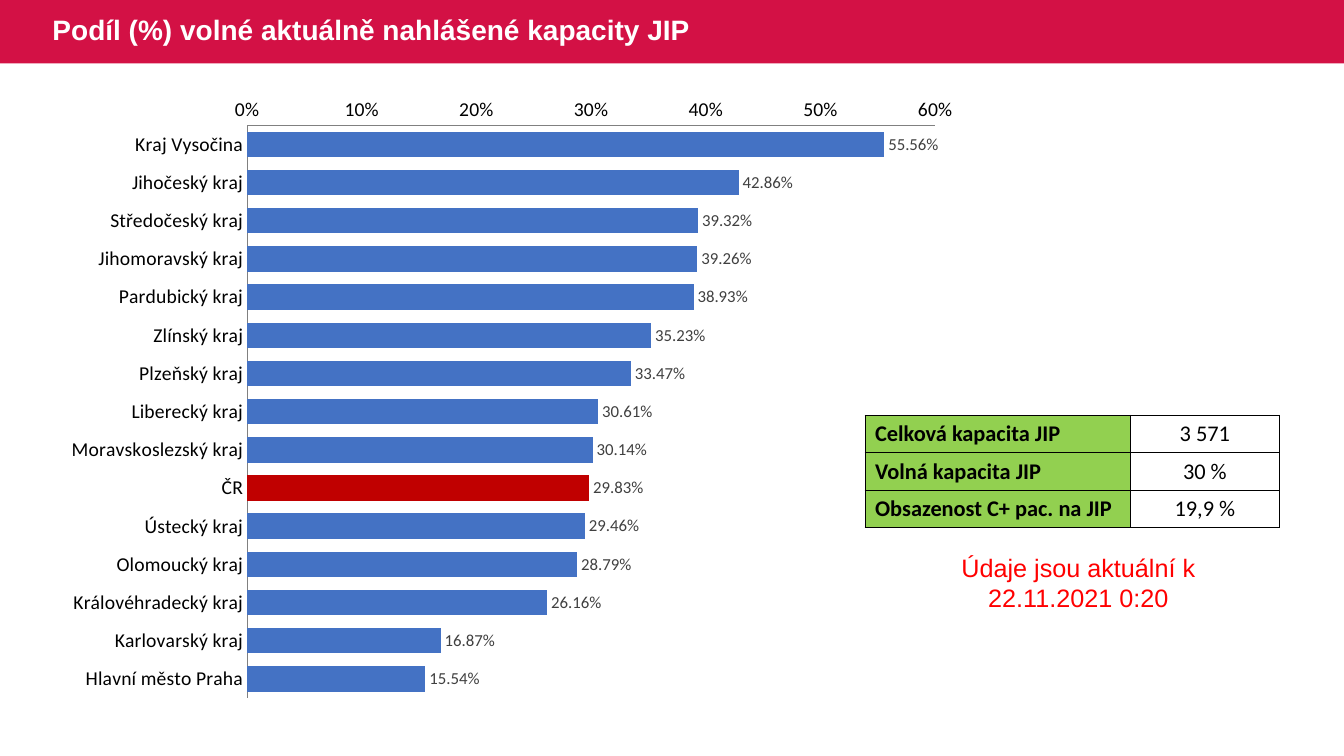
from lxml import etree
from pptx import Presentation
from pptx.chart.data import CategoryChartData
from pptx.dml.color import RGBColor
from pptx.enum.chart import XL_CHART_TYPE as ChartType
from pptx.enum.chart import XL_LABEL_POSITION as LabelPosition
from pptx.enum.chart import XL_TICK_MARK as TickMark
from pptx.enum.shapes import MSO_SHAPE as Preset
from pptx.enum.text import MSO_ANCHOR as Anchor
from pptx.enum.text import MSO_AUTO_SIZE as AutoSize
from pptx.enum.text import PP_ALIGN as Align
from pptx.oxml import parse_xml
from pptx.oxml.ns import nsdecls, qn
from pptx.util import Inches, Pt

CRIMSON = RGBColor(0xD3, 0x11, 0x45)
WHITE = RGBColor(0xFF, 0xFF, 0xFF)
BLACK = RGBColor(0, 0, 0)
BLUE = RGBColor(0x44, 0x72, 0xC4)
DARK_RED = RGBColor(0xC0, 0, 0)
GREEN = RGBColor(0x92, 0xD0, 0x50)
RED = RGBColor(0xFF, 0, 0)
LABEL_GREY = RGBColor(0x40, 0x40, 0x40)
AXIS_GREY = RGBColor(0x80, 0x80, 0x80)

COUNTRY = "ČR"
FREE_SHARE = {
    "Kraj Vysočina": 0.5556,
    "Jihočeský kraj": 0.4286,
    "Středočeský kraj": 0.3932,
    "Jihomoravský kraj": 0.3926,
    "Pardubický kraj": 0.3893,
    "Zlínský kraj": 0.3523,
    "Plzeňský kraj": 0.3347,
    "Liberecký kraj": 0.3061,
    "Moravskoslezský kraj": 0.3014,
    COUNTRY: 0.2983,
    "Ústecký kraj": 0.2946,
    "Olomoucký kraj": 0.2879,
    "Královéhradecký kraj": 0.2616,
    "Karlovarský kraj": 0.1687,
    "Hlavní město Praha": 0.1554,
}
SUMMARY = [
    ("Celková kapacita JIP", "3 571"),
    ("Volná kapacita JIP", "30 %"),
    ("Obsazenost C+ pac. na JIP", "19,9 %"),
]


class CapacitySlide:
    heading_font = "Arial"
    data_font = "Calibri"

    def __init__(self, presentation):
        self.slide = presentation.slides.add_slide(presentation.slide_layouts[5])
        self.shapes = self.slide.shapes

    def style(self, font, name, size, color, bold=False):
        font.name, font.size, font.bold = name, Pt(size), bold
        font.color.rgb = color

    def add_text(self, frame, text, name, size, color, bold=False, align=Align.LEFT):
        paragraph = frame.paragraphs[0]
        paragraph.alignment = align
        run = paragraph.add_run()
        run.text = text
        self.style(run.font, name, size, color, bold)
        return paragraph

    def band(self, left, top, width, height, color):
        band = self.shapes.add_shape(
            Preset.RECTANGLE, Inches(left), Inches(top), Inches(width), Inches(height))
        band.shadow.inherit = False
        band.fill.solid()
        band.fill.fore_color.rgb = color
        band.line.fill.background()
        return band

    def title(self, text, band):
        """Place the title in front of its band."""
        title = self.shapes.title
        band.element.addnext(title.element)
        title.left, title.top = Inches(0.42), Inches(0)
        title.width, title.height = Inches(11.56), Inches(0.63)
        frame = title.text_frame
        frame.word_wrap = True
        frame.auto_size = AutoSize.NONE
        frame.vertical_anchor = Anchor.MIDDLE
        paragraph = self.add_text(frame, text, self.heading_font, 20, WHITE, bold=True)
        paragraph.line_spacing = 0.9

    def axis(self, axis):
        axis.has_major_gridlines = False
        axis.major_tick_mark = axis.minor_tick_mark = TickMark.NONE
        axis.format.line.color.rgb = AXIS_GREY
        axis.format.line.width = Pt(0.75)
        self.style(axis.tick_labels.font, self.data_font, 14, BLACK)

    def fix_plot_area(self, chart, x, y, w, h):
        """Set the inner plot area as fractions of the chart."""
        plot_area = chart.element.find(".//" + qn("c:plotArea"))
        for old in plot_area.findall(qn("c:layout")):
            plot_area.remove(old)
        layout = parse_xml(f"<c:layout {nsdecls('c')}><c:manualLayout/></c:layout>")
        settings = {"layoutTarget": "inner", "xMode": "edge", "yMode": "edge",
                    "x": x, "y": y, "w": w, "h": h}
        for tag, value in settings.items():
            etree.SubElement(layout[0], qn("c:" + tag), val=str(value))
        plot_area.insert(0, layout)

    def bar_chart(self, left, top, width, height, shares, highlight):
        data = CategoryChartData(number_format="0.00%")
        data.categories = list(shares)
        data.add_series("Series 1", list(shares.values()))
        chart = self.shapes.add_chart(
            ChartType.BAR_CLUSTERED, Inches(left), Inches(top),
            Inches(width), Inches(height), data).chart
        chart.has_title = chart.has_legend = False
        self.style(chart.font, self.data_font, 10, BLACK)
        self.axis(chart.category_axis)
        chart.category_axis.reverse_order = True
        values = chart.value_axis
        self.axis(values)
        values.minimum_scale, values.maximum_scale, values.major_unit = 0, 0.6, 0.1
        values.tick_labels.number_format = "0%"
        values.tick_labels.number_format_is_linked = False

        plot = chart.plots[0]
        plot.gap_width = 50
        plot.vary_by_categories = False
        series = plot.series[0]
        country_bar = series.points[list(shares).index(highlight)]
        for item, color in ((series, BLUE), (country_bar, DARK_RED)):
            item.format.fill.solid()
            item.format.fill.fore_color.rgb = color
        labels = series.data_labels
        labels.show_value = True
        labels.position = LabelPosition.OUTSIDE_END
        labels.number_format = "0.00%"
        labels.number_format_is_linked = False
        self.style(labels.font, self.data_font, 12, LABEL_GREY)
        self.fix_plot_area(chart, 0.21, 0.065, 0.75, 0.915)

    def border(self, cell):
        properties = cell._tc.get_or_add_tcPr()
        for index, side in enumerate(("lnL", "lnR", "lnT", "lnB")):
            properties.insert(index, parse_xml(
                f'<a:{side} {nsdecls("a")} w="{int(Pt(0.75))}"><a:solidFill>'
                f'<a:srgbClr val="{BLACK}"/></a:solidFill></a:{side}>'))

    def table(self, left, top, column_widths, row_height, rows):
        table = self.shapes.add_table(
            len(rows), len(column_widths), Inches(left), Inches(top),
            Inches(sum(column_widths)), Inches(row_height * len(rows))).table
        table.first_row = table.horz_banding = False
        for column, width in zip(table.columns, column_widths):
            column.width = Inches(width)
        formats = ((GREEN, True, Align.LEFT, Anchor.TOP),
                   (WHITE, False, Align.CENTER, Anchor.MIDDLE))
        for row, texts in zip(table.rows, rows):
            for cell, text, (fill, bold, align, anchor) in zip(row.cells, texts, formats):
                cell.fill.solid()
                cell.fill.fore_color.rgb = fill
                cell.vertical_anchor = anchor
                self.add_text(cell.text_frame, text, self.data_font, 16, BLACK, bold, align)
                self.border(cell)

    def note(self, left, top, width, height, text):
        frame = self.shapes.add_textbox(
            Inches(left), Inches(top), Inches(width), Inches(height)).text_frame
        frame.word_wrap = True
        frame.auto_size = AutoSize.SHAPE_TO_FIT_TEXT
        self.add_text(frame, text, self.heading_font, 18, RED, align=Align.CENTER)


def main():
    presentation = Presentation()
    presentation.slide_width = Inches(13.33)
    presentation.slide_height = Inches(7.5)
    page = CapacitySlide(presentation)
    band = page.band(0, 0, 13.33, 0.63, CRIMSON)
    page.title("Podíl (%) volné aktuálně nahlášené kapacity JIP", band)
    page.bar_chart(0.54, 0.84, 9.1, 6.21, FREE_SHARE, COUNTRY)
    page.table(8.58, 4.12, (2.63, 1.48), 0.37, SUMMARY)
    page.note(9.42, 5.43, 2.55, 0.71, "Údaje jsou aktuální k 22.11.2021 0:20")
    presentation.save("out.pptx")


if __name__ == "__main__":
    main()
